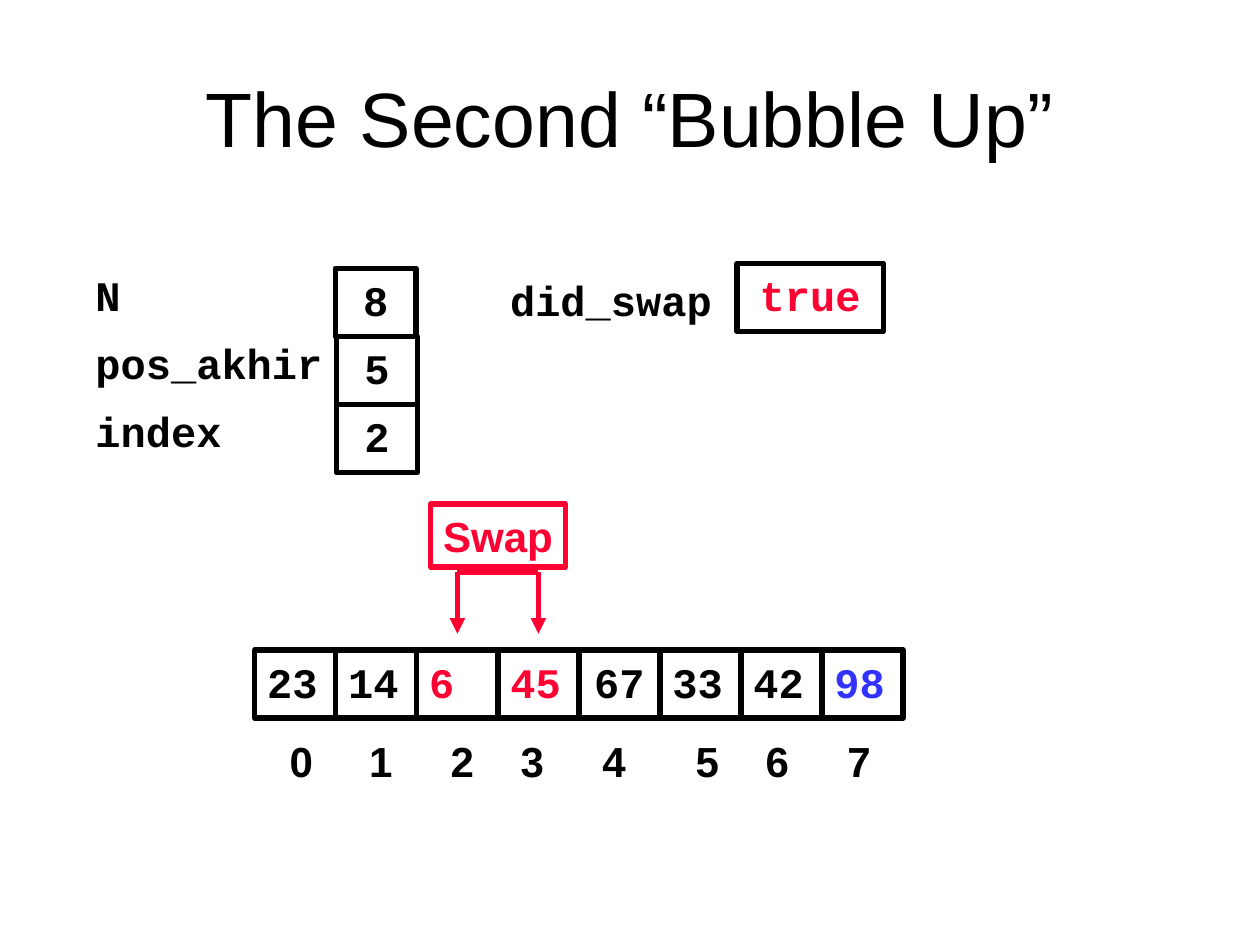
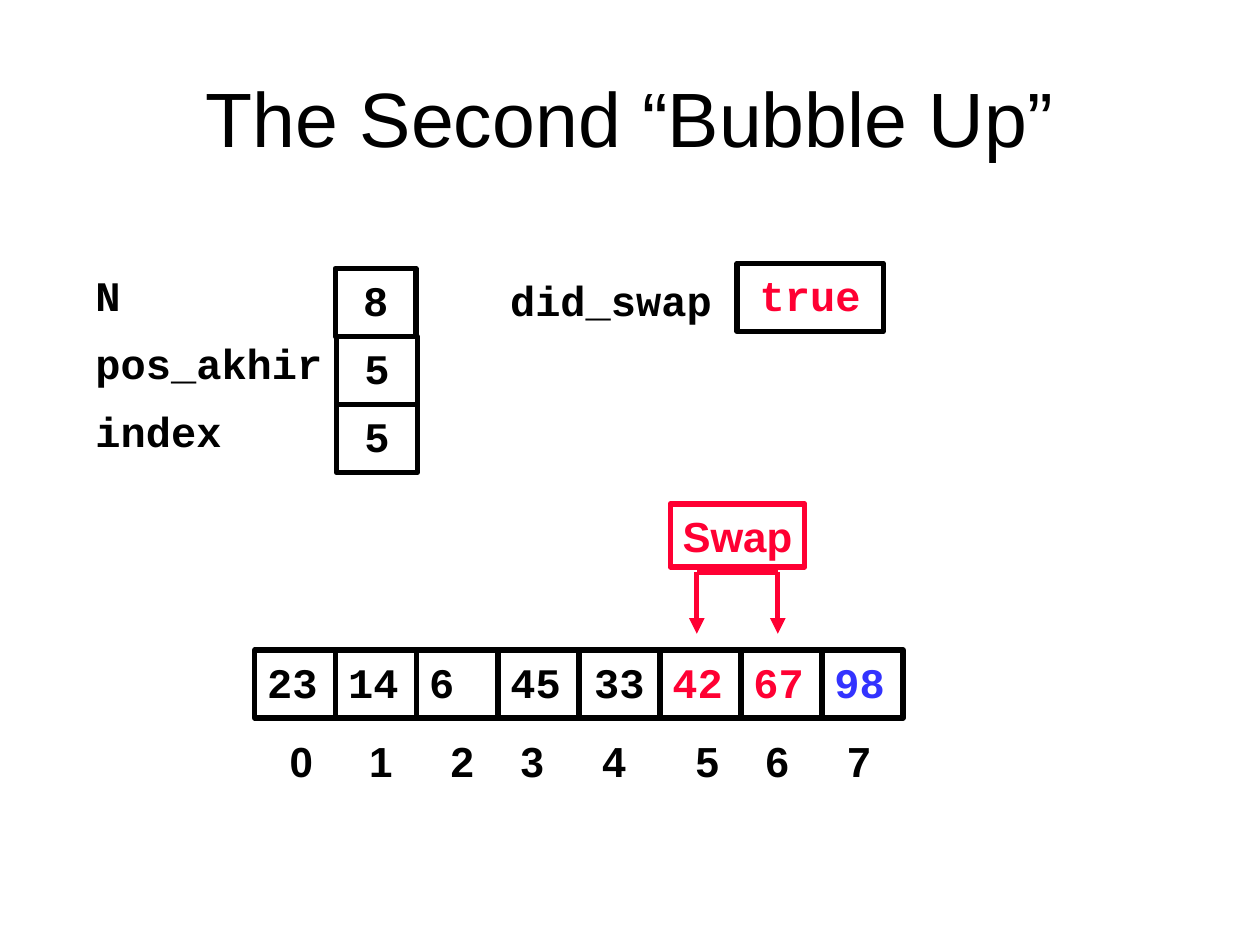
from lxml import etree
from pptx import Presentation
from pptx.dml.color import RGBColor
from pptx.enum import shapes, text
from pptx.oxml import ns
from pptx.util import Pt

BLACK = RGBColor(0x00, 0x00, 0x00)
RED = RGBColor(0xFF, 0x00, 0x33)
BLUE = RGBColor(0x33, 0x33, 0xFF)
SANS = "Arial"
MONO = "Courier New"
STROKE = 3

CELL_WIDTH = 46.3
CELL_HEIGHT = 38.9
LABEL_HEIGHT = 36
ARRAY_LEFT = 145.6
ARRAY_TOP = 371.5
VARIABLES_TOP = 153.4
LABEL_LEFT = 47.5
CENTERED_CELL = 4
INDEX_TABS = [45.4, 92, 132, 178.7, 232, 272, 318.7]

TITLE = "The Second “Bubble Up”"
# Each step: values in the array, positions swapped, left edge of the Swap box
STEPS = [
    ([23, 14, 6, 45, 67, 33, 42, 98], (2, 3), 246.2),
    ([23, 14, 6, 45, 33, 42, 67, 98], (5, 6), 383),
]


def write(frame, content, size=24, font=MONO, color=BLACK, bold=True,
          centered=False, wrap=False, anchor=text.MSO_ANCHOR.TOP, tabs=()):
    frame.word_wrap = wrap
    frame.vertical_anchor = anchor
    para = frame.paragraphs[0]
    para.alignment = text.PP_ALIGN.CENTER if centered else text.PP_ALIGN.LEFT
    if tabs:
        tab_list = etree.SubElement(para._p.get_or_add_pPr(), ns.qn("a:tabLst"))
        for stop in tabs:
            etree.SubElement(tab_list, ns.qn("a:tab"), pos=str(Pt(stop)), algn="l")
    span = para.add_run()
    span.text = content
    span.font.size = Pt(size)
    span.font.name = font
    span.font.bold = bold
    span.font.color.rgb = color


def add_label(page, content, left, top, width, **style):
    box = page.shapes.add_textbox(Pt(left), Pt(top), Pt(width), Pt(LABEL_HEIGHT))
    write(box.text_frame, content, **style)


def add_box(page, content, left, top, width=CELL_WIDTH, height=CELL_HEIGHT,
            outline=BLACK, **style):
    box = page.shapes.add_shape(shapes.MSO_SHAPE.RECTANGLE,
                                Pt(left), Pt(top), Pt(width), Pt(height))
    box.shadow.inherit = False
    box.fill.background()
    box.line.color.rgb = outline
    box.line.width = Pt(STROKE)
    write(box.text_frame, content, **style)


def add_line(group, start, end, arrow=False):
    line = group.shapes.add_connector(shapes.MSO_CONNECTOR.STRAIGHT,
                                      Pt(start[0]), Pt(start[1]), Pt(end[0]), Pt(end[1]))
    line.line.color.rgb = RED
    line.line.width = Pt(STROKE)
    if arrow:
        etree.SubElement(line.line._get_or_add_ln(), ns.qn("a:tailEnd"), type="triangle")
    etree.SubElement(line._element.spPr, ns.qn("a:effectLst"))


def add_title(page):
    title = page.shapes.title
    title.left, title.top, title.width, title.height = Pt(36), Pt(21.6), Pt(648), Pt(90)
    write(title.text_frame, TITLE, size=44, font=SANS, bold=False, centered=True,
          wrap=True, anchor=text.MSO_ANCHOR.MIDDLE)


def add_variables(page, index):
    rows = [("N", 8, 191.5), ("pos_akhir", 5, 192.2), ("index", index, 192.2)]
    for row, (name, value, left) in enumerate(rows):
        top = VARIABLES_TOP + row * CELL_HEIGHT
        add_label(page, name, LABEL_LEFT, top - 2.9, 144)
        add_box(page, str(value), left, top, centered=True)
    add_label(page, "did_swap", 284.4, VARIABLES_TOP, 187.2)
    add_box(page, "true", 421.2, 150.5, width=83.5, color=RED, centered=True)


def add_array(page, values, swapped):
    last = len(values) - 1
    for position, value in enumerate(values):
        color = RED if position in swapped else BLUE if position == last else BLACK
        add_box(page, str(value), ARRAY_LEFT + position * CELL_WIDTH, ARRAY_TOP,
                color=color, centered=position == CENTERED_CELL)
    indexes = "\t".join(str(position) for position in range(len(values)))
    add_label(page, indexes, 158.4, 416.9, 351.4, font=SANS, wrap=True, tabs=INDEX_TABS)


def add_swap(page, left):
    """Draw the Swap box and the two arrows to the neighbouring cells."""
    bridge, tip = 326.9, 362.2
    first = left + 15.2
    second = first + CELL_WIDTH
    group = page.shapes.add_group_shape()
    for across in (first, second):
        add_line(group, (across, bridge), (across, tip), arrow=True)
    add_line(group, (first, bridge), (second, bridge))
    add_box(page, "Swap", left, 288, width=77, height=LABEL_HEIGHT,
            outline=RED, font=SANS, color=RED)


def main():
    deck = Presentation()
    deck.slide_width, deck.slide_height = Pt(720), Pt(540)
    title_only = deck.slide_layouts[5]
    for values, swapped, swap_left in STEPS:
        page = deck.slides.add_slide(title_only)
        add_title(page)
        add_array(page, values, swapped)
        add_variables(page, index=swapped[0])
        add_swap(page, swap_left)
    deck.save("out.pptx")


if __name__ == "__main__":
    main()
